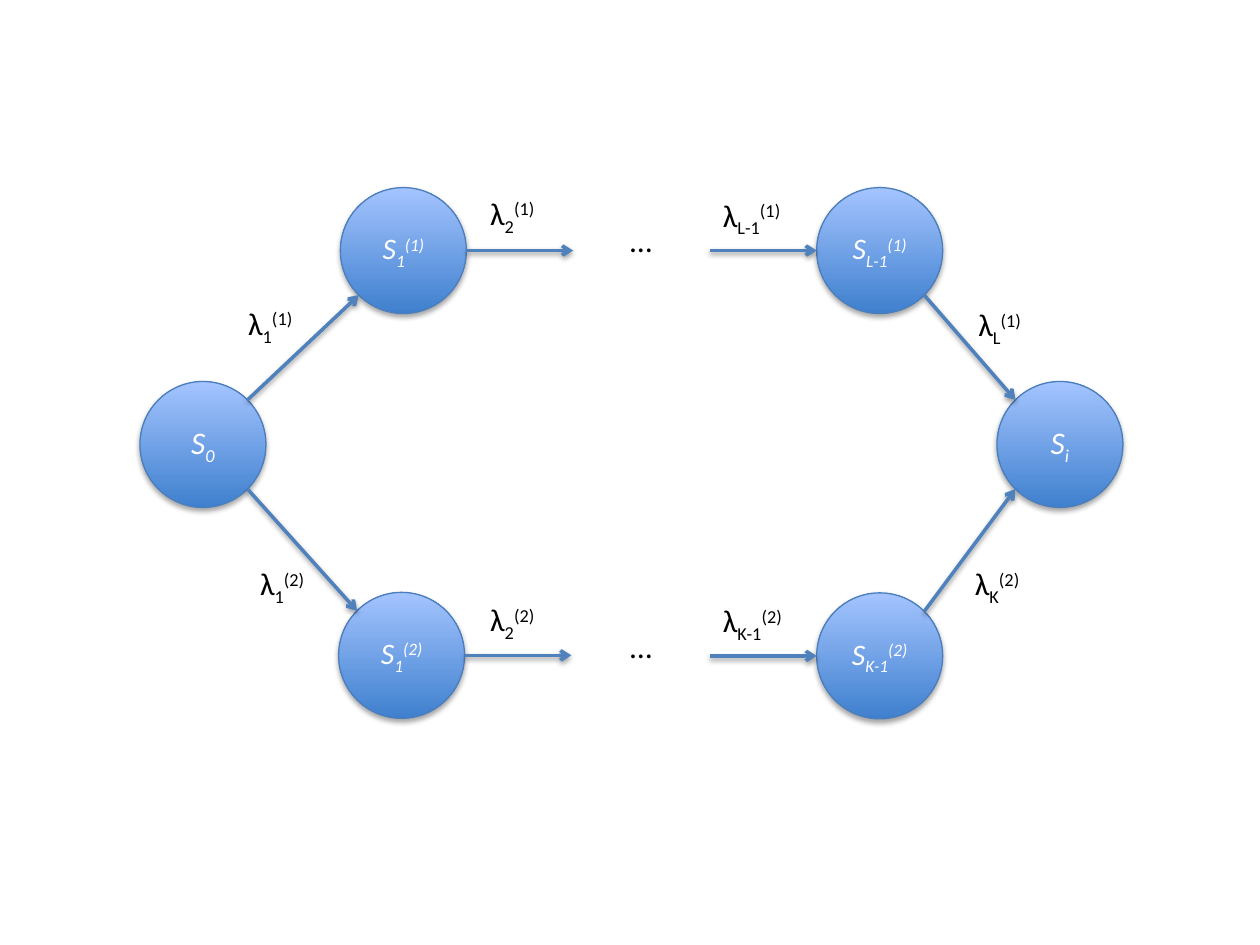
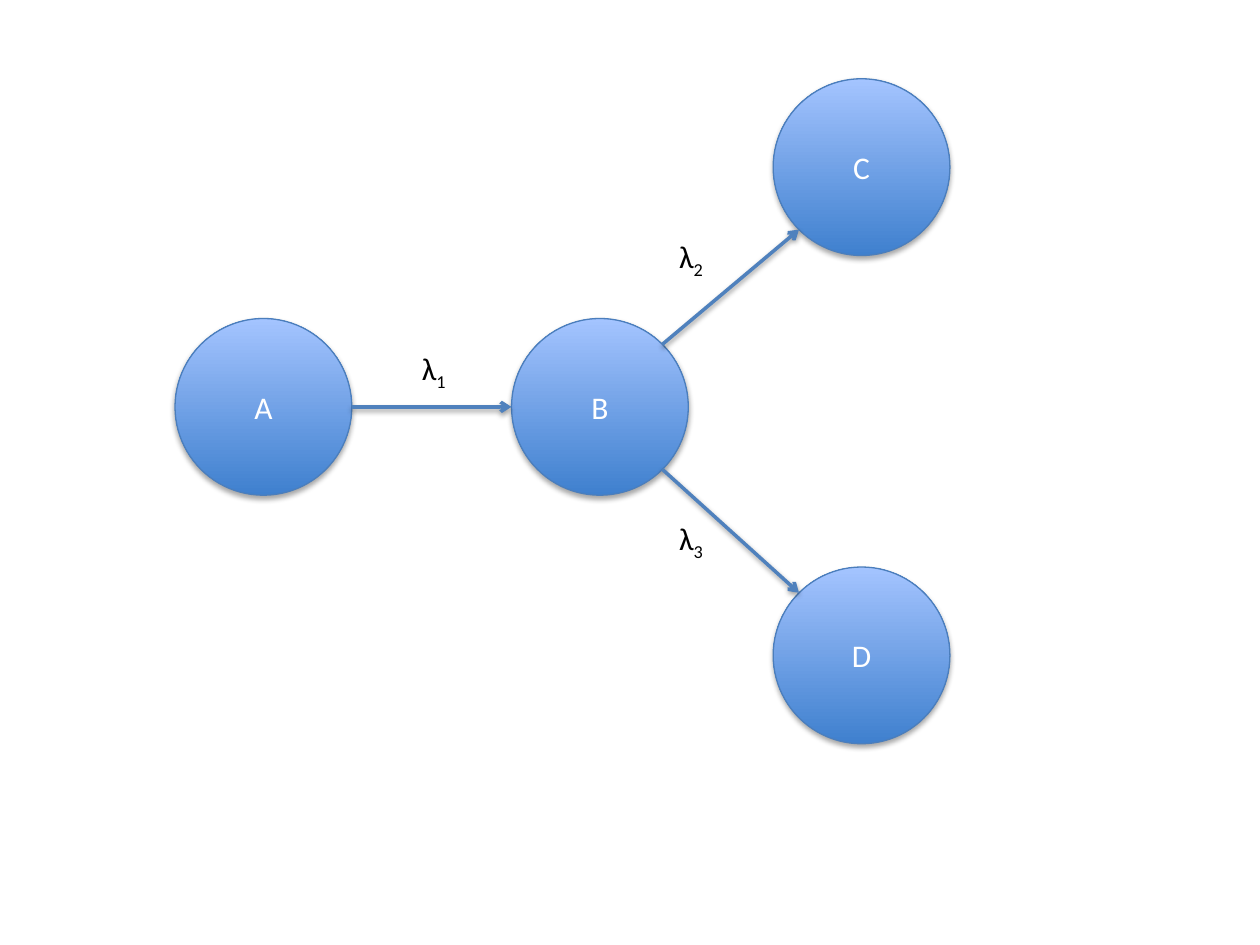
import math

from lxml import etree
from pptx import Presentation
from pptx.dml.color import RGBColor
from pptx.enum import shapes, text
from pptx.oxml import ns
from pptx.util import Pt

NODE_BOTTOM = RGBColor(0x3F, 0x80, 0xCE)
NODE_TOP = RGBColor(0xA4, 0xC4, 0xFF)
NODE_LINE = RGBColor(0x4B, 0x7E, 0xBC)
ARROW_BLUE = RGBColor(0x4F, 0x81, 0xBD)
WHITE = RGBColor(0xFF, 0xFF, 0xFF)
BLACK = RGBColor(0x00, 0x00, 0x00)
FONT = "Calibri"
STUB_LENGTH = 61
LABEL_HEIGHT = 29
RIGHT, DOWN_RIGHT, DOWN_LEFT, LEFT, UP_LEFT, UP_RIGHT = 0, 45, 135, 180, 225, 315

DIAGRAMS = [
    {
        "diameter": 72,
        "italic": True,
        "nodes": {
            "start": (80, 218, 18, ("S", "0")),
            "upper first": (194.5, 107.2, 17, ("S", "1", "(1)")),
            "end": (569.7, 218, 18, ("S", "i")),
            "upper last": (466.7, 107.2, 17, ("S", "L-1", "(1)")),
            "lower first": (193.5, 338.5, 17, ("S", "1", "(2)")),
            "lower last": (466.7, 338.8, 17, ("S", "K-1", "(2)")),
        },
        "arrows": [
            ("start", UP_RIGHT, "upper first", DOWN_LEFT),
            ("upper first", RIGHT, None, None),
            (None, None, "upper last", LEFT),
            ("upper last", DOWN_RIGHT, "end", UP_LEFT),
            ("start", DOWN_RIGHT, "lower first", UP_LEFT),
            ("lower first", RIGHT, None, None),
            (None, None, "lower last", LEFT),
            ("lower last", UP_RIGHT, "end", DOWN_LEFT),
        ],
        "labels": [
            (134.7, 170, 48, ("λ", "1", "(1)")),
            (273, 107.2, 48, ("λ", "2", "(1)")),
            (349, 122.5, 34.5, ("…",)),
            (406, 108.2, 56, ("λ", "L-1", "(1)")),
            (552, 170.7, 56, ("λ", "L", "(1)")),
            (141.5, 319, 48, ("λ", "1", "(2)")),
            (273, 339.3, 48, ("λ", "2", "(2)")),
            (349, 354.5, 34.5, ("…",)),
            (406, 340, 56, ("λ", "K-1", "(2)")),
            (550, 319, 48, ("λ", "K", "(2)")),
        ],
    },
    {
        "diameter": 101,
        "italic": False,
        "nodes": {
            "A": (100, 182, 18, ("A",)),
            "B": (292.3, 182, 18, ("B",)),
            "C": (441.8, 45, 18, ("C",)),
            "D": (441.8, 324, 18, ("D",)),
        },
        "arrows": [
            ("A", RIGHT, "B", LEFT),
            ("B", UP_RIGHT, "C", DOWN_LEFT),
            ("B", DOWN_RIGHT, "D", UP_LEFT),
        ],
        "labels": [
            (234, 196, 34.5, ("λ", "1")),
            (381, 131.7, 34.5, ("λ", "2")),
            (381, 293.2, 34.5, ("λ", "3")),
        ],
    },
]


def write_scripts(shape, parts, size, color, italic=False):
    paragraph = shape.text_frame.paragraphs[0]
    paragraph.text = parts[0]
    for part in parts[1:]:
        paragraph.add_run().text = part
    for run, baseline in zip(paragraph.runs, (0, -25000, 30000)):
        run.font.name = FONT
        run.font.size = Pt(size)
        run.font.italic = italic
        run.font.color.rgb = color
        if baseline:
            run.font._element.set("baseline", str(baseline))
    return paragraph


def add_shadow(shape, distance, opacity):
    effects = etree.SubElement(shape._element.spPr, ns.qn("a:effectLst"))
    shadow = etree.SubElement(
        effects, ns.qn("a:outerShdw"), blurRad=str(Pt(3.1)), dist=str(Pt(distance)),
        dir="5400000", rotWithShape="0")
    color = etree.SubElement(shadow, ns.qn("a:srgbClr"), val=str(BLACK))
    etree.SubElement(color, ns.qn("a:alpha"), val=str(opacity * 1000))


presentation = Presentation()
presentation.slide_width = Pt(720)
presentation.slide_height = Pt(540)

for diagram in DIAGRAMS:
    slide = presentation.slides.add_slide(presentation.slide_layouts[6])
    diameter = diagram["diameter"]
    radius = diameter / 2

    for left, top, size, parts in diagram["nodes"].values():
        node = slide.shapes.add_shape(
            shapes.MSO_SHAPE.OVAL, Pt(left), Pt(top), Pt(diameter), Pt(diameter))
        node.fill.gradient()
        node.fill.gradient_angle = 90
        for stop, color, position in zip(
                node.fill.gradient_stops, (NODE_BOTTOM, NODE_TOP), (0, 1)):
            stop.color.rgb = color
            stop.position = position
        node.line.color.rgb = NODE_LINE
        node.line.width = Pt(0.75)
        add_shadow(node, 1.8, 35)
        node.text_frame.vertical_anchor = text.MSO_ANCHOR.MIDDLE
        paragraph = write_scripts(node, parts, size, WHITE, diagram["italic"])
        paragraph.alignment = text.PP_ALIGN.CENTER

    for source, source_angle, target, target_angle in diagram["arrows"]:
        ends = []
        for name, angle in ((source, source_angle), (target, target_angle)):
            if name:
                left, top = diagram["nodes"][name][:2]
                ends.append((left + radius + radius * math.cos(math.radians(angle)),
                             top + radius + radius * math.sin(math.radians(angle))))
        if source is None:
            ends.insert(0, (ends[0][0] - STUB_LENGTH, ends[0][1]))
        if target is None:
            ends.append((ends[0][0] + STUB_LENGTH, ends[0][1]))
        arrow = slide.shapes.add_connector(
            shapes.MSO_CONNECTOR.STRAIGHT, *[Pt(value) for end in ends for value in end])
        arrow.line.color.rgb = ARROW_BLUE
        arrow.line.width = Pt(2)
        etree.SubElement(arrow.line._get_or_add_ln(), ns.qn("a:tailEnd"), type="arrow")
        add_shadow(arrow, 1.6, 38)

    for left, top, width, parts in diagram["labels"]:
        label = slide.shapes.add_textbox(Pt(left), Pt(top), Pt(width), Pt(LABEL_HEIGHT))
        label.text_frame.word_wrap = True
        label.text_frame.auto_size = text.MSO_AUTO_SIZE.SHAPE_TO_FIT_TEXT
        paragraph = write_scripts(label, parts, 18, BLACK)
        if parts == ("…",):
            paragraph.alignment = text.PP_ALIGN.CENTER

presentation.save("out.pptx")
